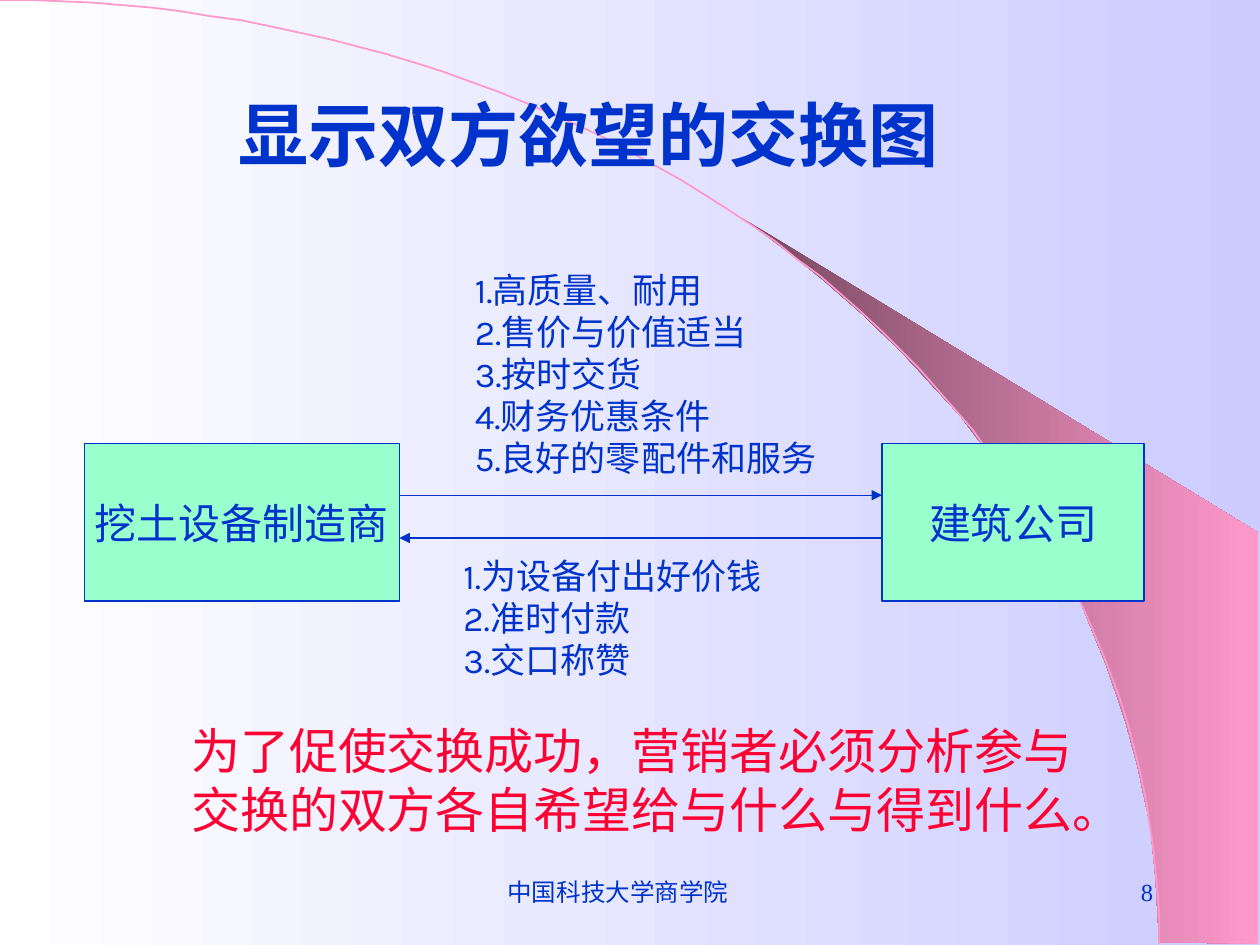
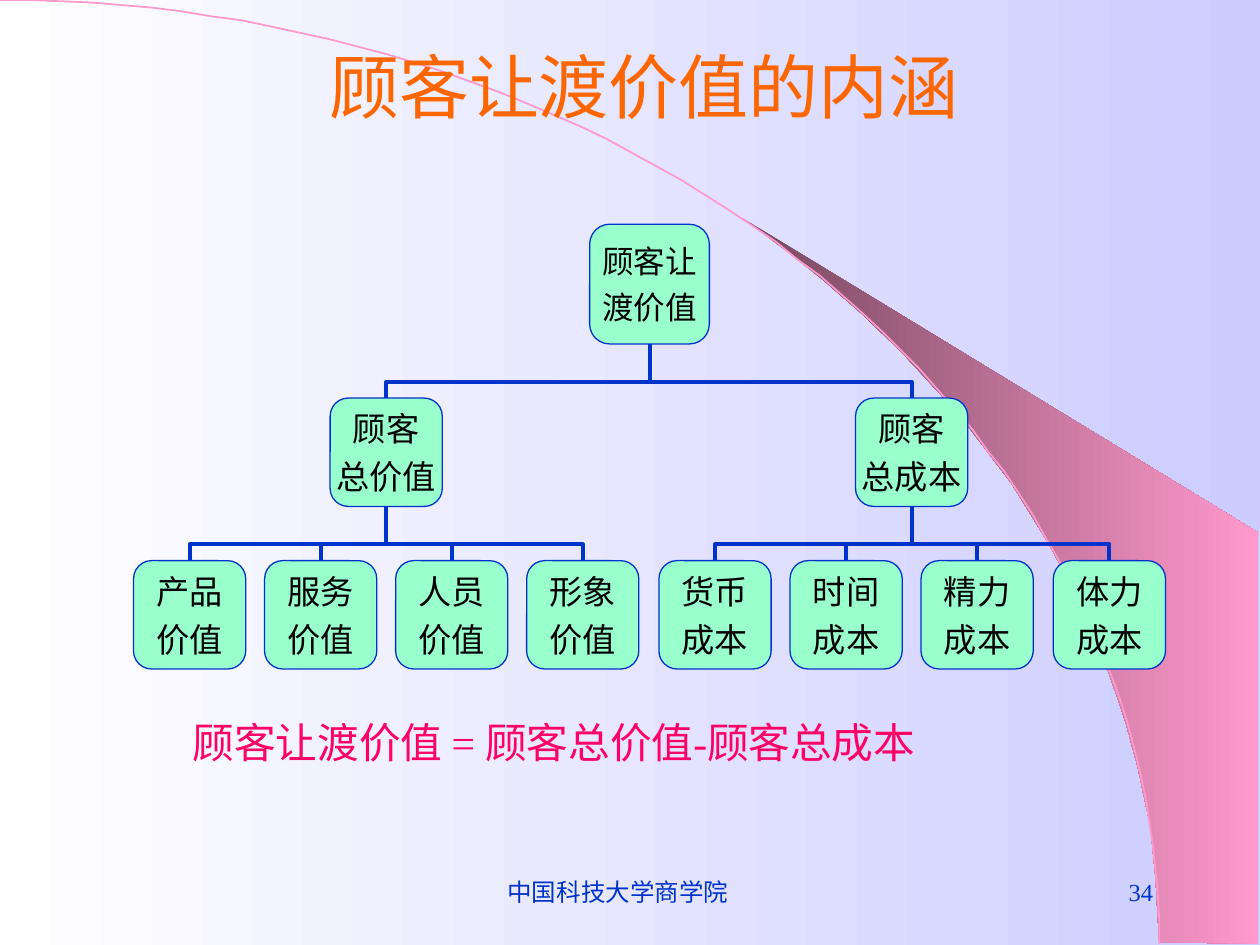
from dataclasses import dataclass
from math import cos, pi, sin

from lxml.etree import SubElement as Sub
from pptx import Presentation
from pptx.dml.color import RGBColor as RGB
from pptx.enum.shapes import MSO_CONNECTOR as Link, MSO_SHAPE as Kind
from pptx.enum.text import MSO_ANCHOR as Anchor, MSO_AUTO_SIZE as Fit, PP_ALIGN as Align
from pptx.oxml.ns import qn
from pptx.util import Pt

PX = 9144  # EMU in one px, 100 px to the inch
WIDE, HIGH = 1000, 750

WHITE = RGB(0xFF, 0xFF, 0xFF)
LILAC = RGB(0xCC, 0xCC, 0xFF)
PLUM = RGB(0x76, 0x47, 0x5E)
PINK = RGB(0xFF, 0x99, 0xCC)
BLUE = RGB(0x00, 0x33, 0xCC)
MINT = RGB(0x99, 0xFF, 0xCC)
RED = RGB(0xFF, 0x00, 0x33)
ROSE = RGB(0xFF, 0x00, 0x66)
ORANGE = RGB(0xFF, 0x66, 0x00)
BLACK = RGB(0, 0, 0)

HAN = "Noto Sans CJK SC"
KARLA, TIMES, ARIAL = "Karla", "Times New Roman", "Arial"

FAN = [(920, 748), (999, 749), (999, 423), (589, 173), (624, 199), (653, 222),
       (685, 250), (716, 280), (762, 330), (803, 384), (832, 431), (858, 479),
       (878, 528), (893, 572), (903, 609), (913, 656), (917, 696)]
ARC = [(920 * sin(t * pi / 120), 749 * (1 - cos(t * pi / 120))) for t in range(61)]


@dataclass(frozen=True)
class Box:
    x: int
    y: int
    w: int
    h: int

    @property
    def mid(self) -> float:
        return self.x + self.w / 2

    @property
    def emu(self) -> tuple:
        return tuple(v * PX for v in (self.x, self.y, self.w, self.h))


@dataclass(frozen=True)
class Style:
    size: float
    font: str = KARLA
    color: RGB = BLUE
    align: Align = Align.LEFT
    anchor: Anchor = Anchor.TOP
    bold: bool = False
    before: float = 0
    wrap: bool = True
    inset: bool = True
    indent: int = 0


@dataclass(frozen=True)
class Node:
    text: str
    box: Box
    size: int = 19


FOOT = Style(14, TIMES, align=Align.CENTER, anchor=Anchor.MIDDLE)
PAGE = Style(14, TIMES, align=Align.RIGHT, anchor=Anchor.MIDDLE)
PARTY = Style(24, align=Align.CENTER, anchor=Anchor.MIDDLE, wrap=False)
WISH = Style(20)


# Text
def write(shape, text: str, style: Style) -> None:
    frame = shape.text_frame
    frame.text = text
    frame.auto_size = Fit.NONE
    frame.word_wrap = style.wrap
    frame.vertical_anchor = style.anchor
    side, edge = (10 * PX, 5 * PX) if style.inset else (0, 0)
    frame.margin_left = frame.margin_right = side
    frame.margin_top = frame.margin_bottom = edge
    for i, para in enumerate(frame.paragraphs):
        para.alignment = style.align
        para.line_spacing = Pt(style.size * 1.2)
        para.space_before = Pt(style.before if i else 0)
        props = para._p.get_or_add_pPr()
        props.set("marL", str(style.indent * PX))
        props.set("indent", "0")
        Sub(props, qn("a:buNone"))
        font = para.font
        font.size, font.name, font.bold = Pt(style.size), style.font, style.bold
        font.color.rgb = style.color
        Sub(props.find(qn("a:defRPr")), qn("a:ea")).set("typeface", HAN)


def label(slide, box: Box, text: str, style: Style) -> None:
    write(slide.shapes.add_textbox(*box.emu), text, style)


def hold(shape, box: Box, text: str, style: Style) -> None:
    """Move a placeholder and fill it."""
    shape.left, shape.top, shape.width, shape.height = box.emu
    write(shape, text, style)


# Shapes and lines
def shade(fill, start: RGB, end: RGB) -> None:
    fill.gradient()
    fill.gradient_angle = 0
    for stop, color in zip(fill.gradient_stops, (start, end)):
        stop.color.rgb = color


def block(slide, kind: Kind, box: Box, text: str, style: Style):
    shape = slide.shapes.add_shape(kind, *box.emu)
    shape.shadow.inherit = False
    shape.fill.solid()
    shape.fill.fore_color.rgb = MINT
    shape.line.color.rgb = BLUE
    shape.line.width = Pt(0.75)
    write(shape, text, style)
    return shape


def wire(slide, kind: Link, ends: tuple, width: float):
    line = slide.shapes.add_connector(kind, *(round(v * PX) for v in ends))
    line.line.color.rgb = BLUE
    line.line.width = Pt(width)
    Sub(line._element.spPr, qn("a:effectLst"))
    return line


def arrow(slide, start: int, end: int, y: int) -> None:
    line = wire(slide, Link.STRAIGHT, (start, y, end, y), 0.75)
    Sub(line.line._get_or_add_ln(), qn("a:tailEnd")).set("type", "triangle")


def branch(slide, child: Box, root: Box) -> None:
    """Elbow from the top of a child up to the bottom of its parent."""
    base = root.y + root.h
    rise, run = child.y - base, abs(child.mid - root.mid)
    x = (child.mid + root.mid - rise) / 2
    y = (child.y + base - run) / 2
    props = wire(slide, Link.ELBOW, (x, y, x + rise, y + run), 2.25)._element.spPr
    left = child.mid < root.mid
    turn = props.find(qn("a:xfrm"))
    turn.set("rot", str((90 if left else 270) * 60000))
    turn.set("flipH", str(int(left)))
    turn.set("flipV", "1")
    bend = Sub(props.find(".//" + qn("a:avLst")), qn("a:gd"))
    bend.set("name", "adj1")
    bend.set("fmla", "val 29900")


def trace(slide, points: list, close: bool):
    """Outline placed behind everything else on the slide."""
    pen = slide.shapes.build_freeform(*points[0], scale=PX)
    pen.add_line_segments(points[1:], close=close)
    shape = pen.convert_to_shape()
    shape.shadow.inherit = False
    slide.shapes._spTree.insert(2, shape._element)
    return shape


# Shared parts
def start(deck, layout: int, page: int):
    slide = deck.slides.add_slide(deck.slide_layouts[layout])
    arc = trace(slide, ARC, False)
    arc.fill.background()
    arc.line.color.rgb = PINK
    arc.line.width = Pt(1)
    fan = trace(slide, FAN, True)
    shade(fan.fill, PLUM, PINK)
    fan.line.fill.background()
    label(slide, Box(332, 683, 317, 50), "中国科技大学商学院", FOOT)
    label(slide, Box(717, 683, 208, 50), str(page), PAGE)
    return slide


# Slide: exchange between two parties
def trade(deck) -> None:
    slide = start(deck, 5, 8)
    hold(slide.shapes.title, Box(167, 68, 600, 77), "显示双方欲望的交换图",
         Style(40, align=Align.CENTER, bold=True))
    maker, buyer = Box(67, 352, 250, 125), Box(700, 352, 208, 125)
    block(slide, Kind.RECTANGLE, buyer, "建筑公司", PARTY)
    block(slide, Kind.RECTANGLE, maker, "挖土设备制造商", PARTY)
    near, far = maker.x + maker.w, buyer.x
    arrow(slide, near, far, 393)
    arrow(slide, far, near, 427)
    label(slide, Box(367, 208, 300, 210),
          "1.高质量、耐用\n2.售价与价值适当\n3.按时交货\n4.财务优惠条件\n5.良好的零配件和服务", WISH)
    label(slide, Box(358, 435, 300, 110),
          "1.为设备付出好价钱\n2.准时付款\n3.交口称赞", WISH)
    label(slide, Box(142, 567, 750, 104),
          "为了促使交换成功，营销者必须分析参与交换的双方各自希望给与什么与得到什么。",
          Style(28, color=RED))


# Slide: tree of customer value
def value(deck) -> None:
    slide = start(deck, 1, 34)
    hold(slide.shapes.title, Box(152, 28, 718, 79), "顾客让渡价值的内涵",
         Style(40, ARIAL, ORANGE, Align.CENTER, Anchor.MIDDLE))
    hold(slide.placeholders[1], Box(106, 564, 789, 84),
         "顾客让渡价值 = 顾客总价值-顾客总成本",
         Style(23.8, TIMES, ROSE, indent=37))

    top = Node("顾客让\n渡价值", Box(468, 178, 95, 95), 18)
    groups = {"价值": ("产品", "服务", "人员", "形象"),
              "成本": ("货币", "时间", "精力", "体力")}
    nodes = [top]
    for g, (kind, names) in enumerate(groups.items()):
        leaves = [Node(f"{name}\n{kind}", Box(106 + (4 * g + i) * 730 // 7, 445, 89, 86))
                  for i, name in enumerate(names)]
        x = (leaves[0].box.x + leaves[-1].box.x) // 2
        total = Node(f"顾客\n总{kind}", Box(x, 316, 89, 86))
        branch(slide, total.box, top.box)
        for leaf in leaves:
            branch(slide, leaf.box, total.box)
        nodes += [total, *leaves]

    for node in nodes:
        style = Style(node.size, HAN, BLACK, Align.CENTER, Anchor.MIDDLE,
                      before=node.size / 4, wrap=False, inset=False)
        shape = block(slide, Kind.ROUNDED_RECTANGLE, node.box, node.text, style)
        shape.adjustments[0] = 0.167


def main() -> None:
    deck = Presentation()
    deck.slide_width, deck.slide_height = WIDE * PX, HIGH * PX
    shade(deck.slide_master.background.fill, WHITE, LILAC)
    trade(deck)
    value(deck)
    deck.save("out.pptx")


if __name__ == "__main__":
    main()
